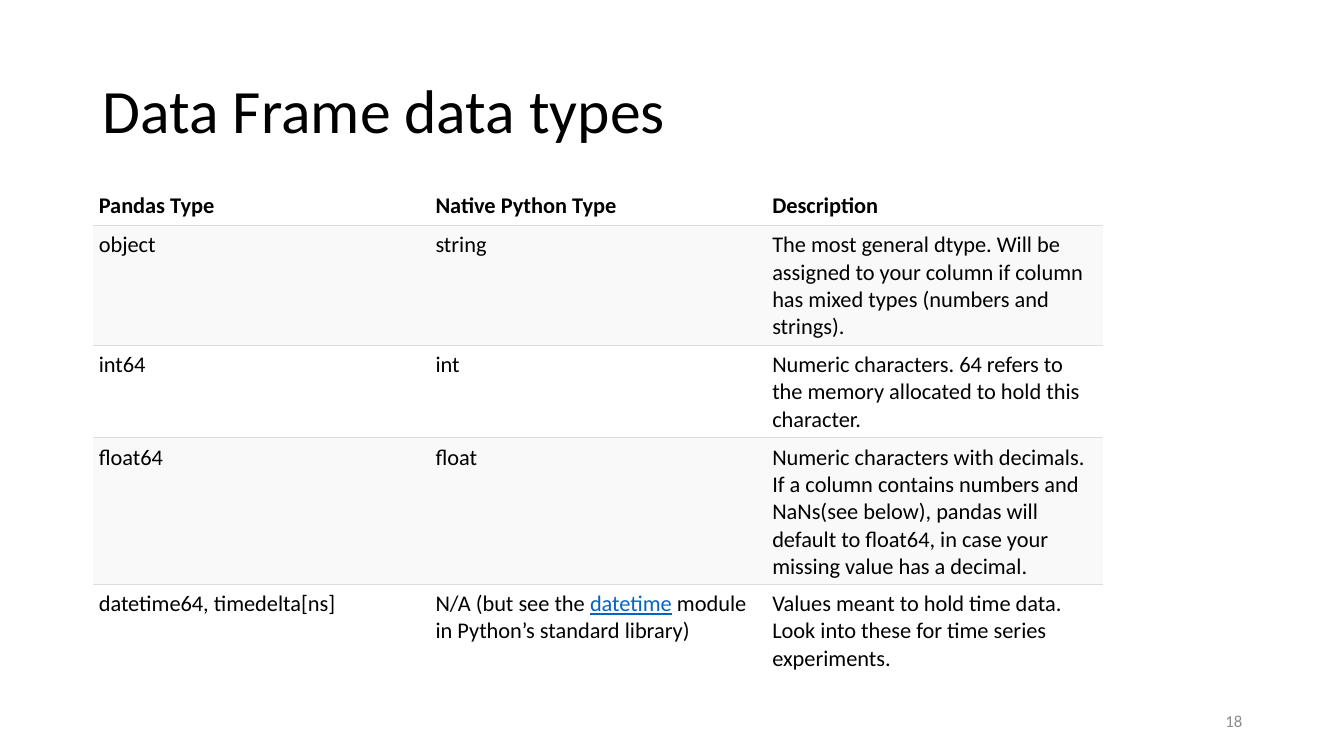
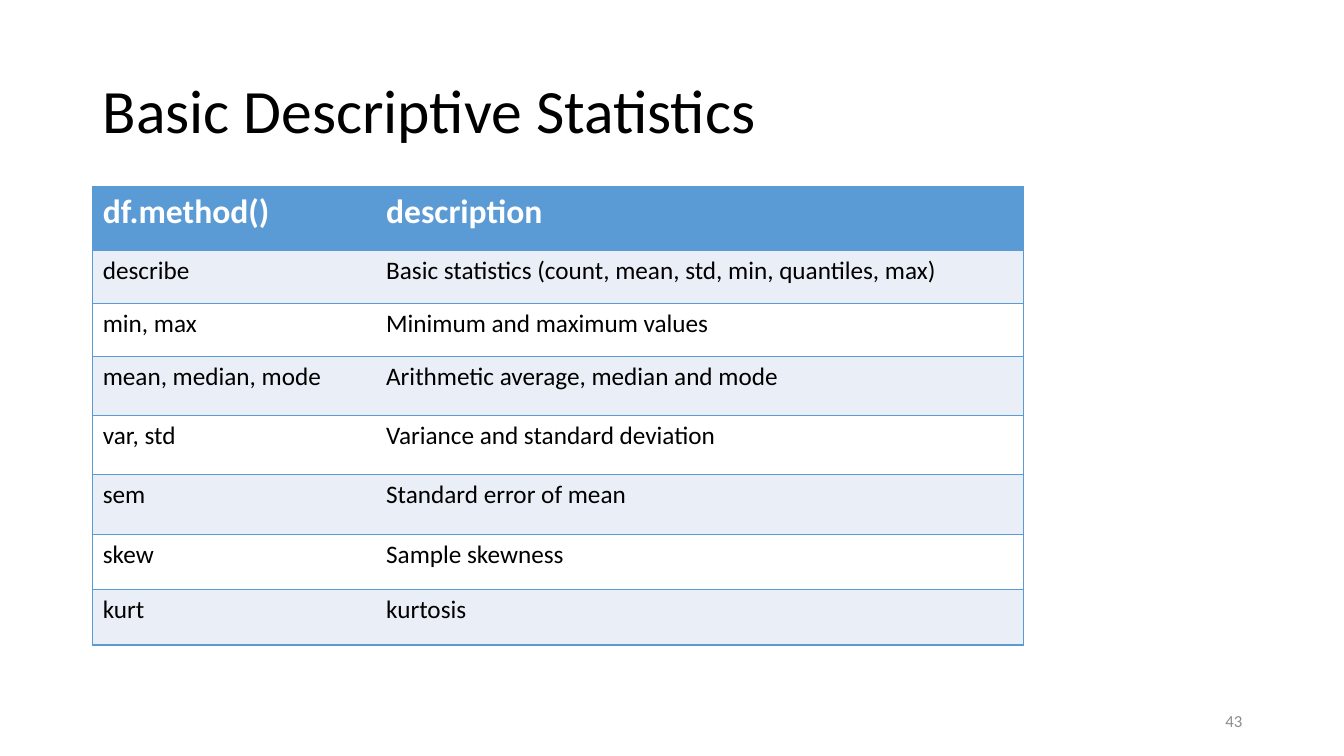
from dataclasses import dataclass
from typing import Optional

from lxml.etree import SubElement as Sub
from pptx import Presentation
from pptx.dml.color import RGBColor as RGB
from pptx.enum.text import MSO_ANCHOR as Anchor, PP_ALIGN as Align
from pptx.oxml.ns import qn
from pptx.util import Inches, Pt

# Shared look
FONT = "Calibri"
BLACK = RGB(0, 0, 0)
WHITE = RGB(255, 255, 255)
GREY = RGB(0x8C, 0x8C, 0x8C)
RULE = RGB(0xDD, 0xDD, 0xDD)
PALE = RGB(0xF9, 0xF9, 0xF9)
BLUE = RGB(0x5B, 0x9B, 0xD5)
MIST = RGB(0xEA, 0xEF, 0xF7)
LINK = RGB(0x05, 0x63, 0xC1)
LEFT, TOP = 0.92, 1.85

Cell = str | tuple[str, ...]  # in a tuple, every second part looks like a link


@dataclass
class Style:
    size: float
    color: RGB = BLACK
    bold: bool = False


@dataclass
class Grid:
    cols: list[float]
    rows: list[float]
    cells: list[tuple[Cell, ...]]
    head: Style
    body: Style
    fill: RGB
    band: RGB
    line: RGB
    width: float
    frame: bool
    anchor: Anchor = Anchor.TOP
    inset: Optional[float] = None


@dataclass
class Page:
    title: str
    number: str
    grid: Grid


TITLE = Style(44)
FOOT = Style(12, GREY)


# Text
def write(para, text: Cell, style: Style) -> None:
    parts = (text,) if isinstance(text, str) else text
    for i, part in enumerate(parts):
        run = para.add_run()
        run.text = part
        link = i % 2 == 1
        look = {"name": FONT, "size": Pt(style.size), "bold": style.bold,
                "underline": link}
        for key, value in look.items():
            setattr(run.font, key, value)
        run.font.color.rgb = LINK if link else style.color


def label(slide, box: tuple[float, ...], text: str, style: Style,
          align: Align = Align.LEFT, space: float = 1.0) -> None:
    frame = slide.shapes.add_textbox(*map(Inches, box)).text_frame
    frame.word_wrap = True
    frame.vertical_anchor = Anchor.MIDDLE
    para = frame.paragraphs[0]
    para.alignment, para.line_spacing = align, space
    write(para, text, style)


# Table
def border(cell, shown: dict[str, bool], color: RGB, width: float) -> None:
    props = cell._tc.get_or_add_tcPr()
    for i, (side, on) in enumerate(shown.items()):
        line = Sub(props, qn(f"a:ln{side}"), w=str(Pt(width)))
        if on:
            Sub(Sub(line, qn("a:solidFill")), qn("a:srgbClr"), val=str(color))
        else:
            Sub(line, qn("a:noFill"))
        props.insert(i, line)


def draw(slide, grid: Grid) -> None:
    high, wide = len(grid.rows), len(grid.cols)
    table = slide.shapes.add_table(
        high, wide, Inches(LEFT), Inches(TOP),
        Inches(sum(grid.cols)), Inches(sum(grid.rows))).table
    table.horz_banding = False
    table.first_row = False
    for col, size in zip(table.columns, grid.cols):
        col.width = Inches(size)
    for r, texts in enumerate(grid.cells):
        table.rows[r].height = Inches(grid.rows[r])
        for c, text in enumerate(texts):
            cell = table.cell(r, c)
            cell.fill.solid()
            cell.fill.fore_color.rgb = (
                grid.fill if r == 0 else grid.band if r % 2 else WHITE)
            cell.vertical_anchor = grid.anchor if r == 0 else Anchor.TOP
            if grid.inset is not None:
                for side in ("left", "right", "top", "bottom"):
                    setattr(cell, f"margin_{side}", Inches(grid.inset))
            shown = {"L": grid.frame and c == 0,
                     "R": grid.frame and c == wide - 1,
                     "T": grid.frame or r > 0,
                     "B": grid.frame or r < high - 1}
            border(cell, shown, grid.line, grid.width)
            write(cell.text_frame.paragraphs[0], text,
                  grid.body if r else grid.head)


# Content
TYPES = Grid(
    cols=[3.34] * 3,
    rows=[0.38, 1.16, 0.9, 1.42, 0.9],
    cells=[
        ("Pandas Type", "Native Python Type", "Description"),
        ("object", "string",
         "The most general dtype. Will be assigned to your column if column "
         "has mixed types (numbers and strings)."),
        ("int64", "int",
         "Numeric characters. 64 refers to the memory allocated to hold "
         "this character."),
        ("float64", "float",
         "Numeric characters with decimals. If a column contains numbers and "
         "NaNs(see below), pandas will default to float64, in case your "
         "missing value has a decimal."),
        ("datetime64, timedelta[ns]",
         ("N/A (but see the\u00a0", "datetime",
          "\u00a0module in Python’s standard library)"),
         "Values meant to hold time data. Look into these for time series "
         "experiments."),
    ],
    head=Style(16, bold=True), body=Style(16),
    fill=WHITE, band=PALE, line=RULE, width=0.6, frame=False,
    anchor=Anchor.BOTTOM, inset=0.06)

STATS = Grid(
    cols=[2.81, 6.42],
    rows=[0.63, 0.53, 0.53, 0.58, 0.59, 0.59, 0.55, 0.55],
    cells=[
        ("df.method()", "description"),
        ("describe", "Basic statistics (count, mean, std, min, quantiles, max)"),
        ("min, max", "Minimum and maximum values"),
        ("mean, median, mode", "Arithmetic average, median and mode"),
        ("var, std", "Variance and standard deviation"),
        ("sem", "Standard error of mean"),
        ("skew", "Sample skewness"),
        ("kurt", "kurtosis"),
    ],
    head=Style(24, WHITE, True), body=Style(18),
    fill=BLUE, band=MIST, line=BLUE, width=1, frame=True)

PAGES = [Page("Data Frame data types", "18", TYPES),
         Page("Basic Descriptive Statistics", "43", STATS)]

# Slides
deck = Presentation()
deck.slide_width, deck.slide_height = Inches(13.33), Inches(7.5)
for page in PAGES:
    slide = deck.slides.add_slide(deck.slide_layouts[6])
    label(slide, (LEFT, 0.4, 11.5, 1.45), page.title, TITLE, space=0.9)
    draw(slide, page.grid)
    label(slide, (9.42, 6.95, 3, 0.4), page.number, FOOT, Align.RIGHT)
deck.save("out.pptx")
